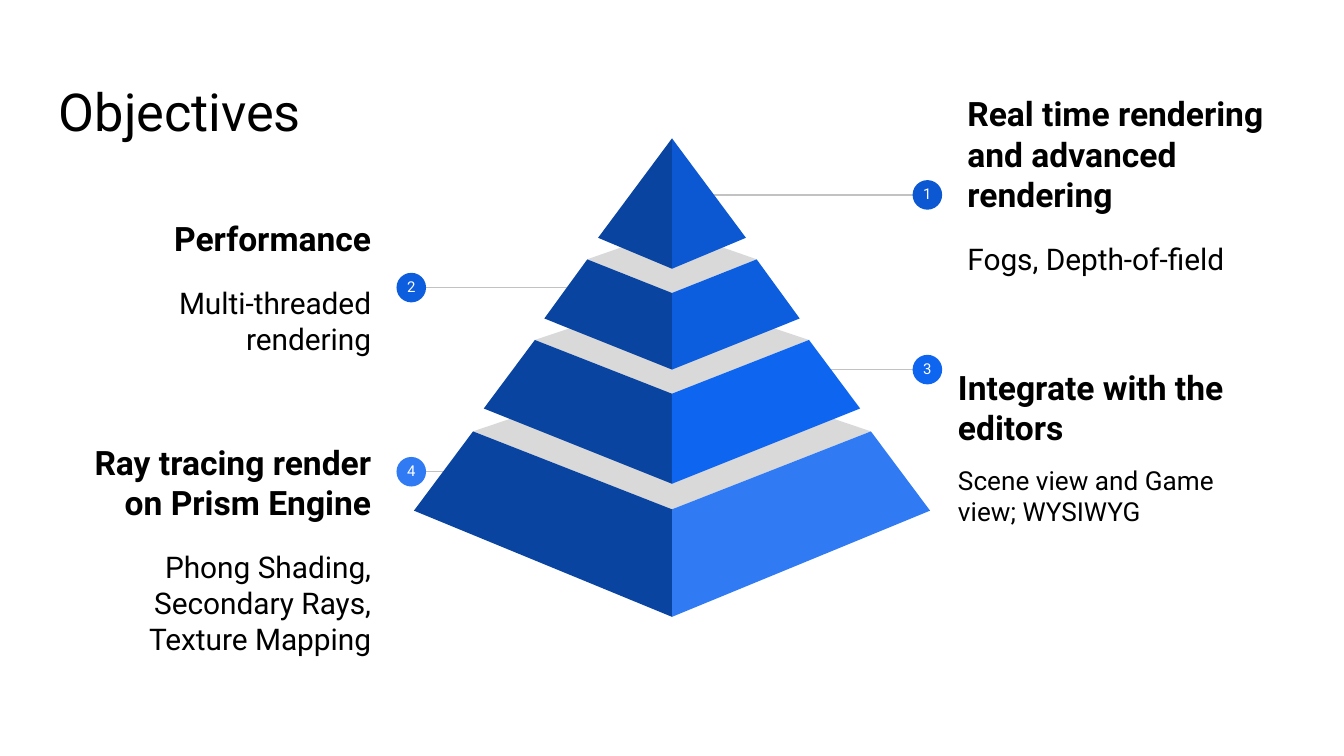
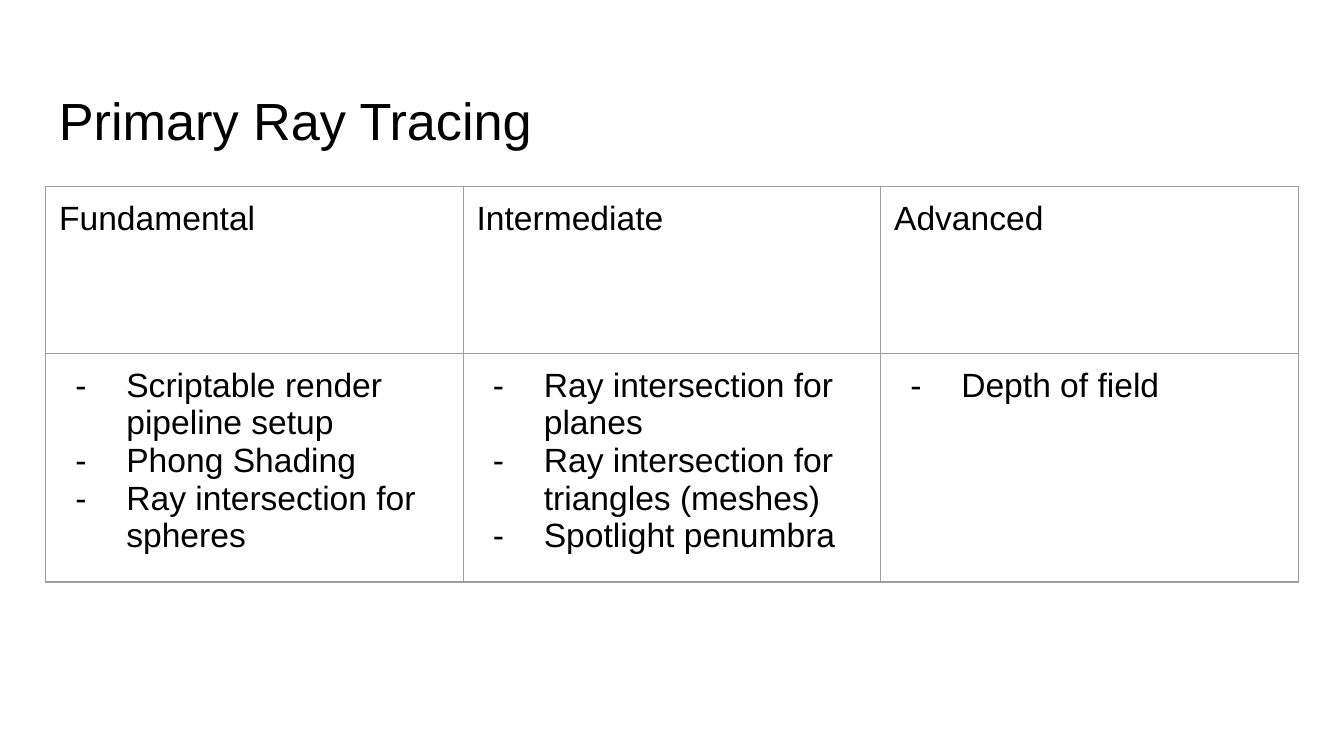
from lxml import etree
from pptx import Presentation
from pptx import util as u
from pptx.dml.color import RGBColor
from pptx.enum import shapes, text
from pptx.oxml import ns

COLORS = {
    "text": "000000",
    "number": "FFFFFF",
    "connector": "C2C2C2",
    "border": "9E9E9E",
    "ledge": "D9D9D9",
    "shade": "0944A1",
    "tier1": "0C58D3",
    "tier2": "0D5DDF",
    "tier3": "0E65F0",
    "tier4": "307BF3",
}
RGB = {name: RGBColor.from_string(value) for name, value in COLORS.items()}
MARGIN = 0.34
CONTENT_WIDTH = 9.32
LEFT, RIGHT = text.PP_ALIGN.LEFT, text.PP_ALIGN.RIGHT


def add_text(slide, box, font, lines, align=LEFT, anchor=text.MSO_ANCHOR.TOP):
    shape = slide.shapes.add_textbox(*[u.Inches(value) for value in box])
    frame = shape.text_frame
    frame.word_wrap = True
    frame.vertical_anchor = anchor
    frame.margin_left = frame.margin_right = u.Inches(0.1)
    frame.margin_top = frame.margin_bottom = u.Inches(0.1)
    for index, (words, size, bold, space_after) in enumerate(lines):
        paragraph = frame.add_paragraph() if index else frame.paragraphs[0]
        paragraph.text = words
        paragraph.alignment = align
        paragraph.space_after = u.Pt(space_after)
        paragraph.font.name = font
        paragraph.font.size = u.Pt(size)
        paragraph.font.bold = bold
        paragraph.font.color.rgb = RGB["text"]
    return shape


def add_face(slide, points, color):
    corners = [(u.Inches(x), u.Inches(y)) for x, y in points]
    builder = slide.shapes.build_freeform(*corners[0])
    builder.add_line_segments(corners[1:], close=True)
    shape = builder.convert_to_shape()
    shape.shadow.inherit = False
    shape.fill.solid()
    shape.fill.fore_color.rgb = RGB[color]
    shape.line.fill.background()


presentation = Presentation()
presentation.slide_width = u.Inches(10)
presentation.slide_height = presentation.slide_width * 9 // 16
blank = presentation.slide_layouts[6]

slides = []
for title, font, spacing in [("Objectives", "Roboto", 1), ("Primary Ray Tracing", "Arial", 1.15)]:
    slide = presentation.slides.add_slide(blank)
    shape = add_text(slide, (MARGIN, 0.49, CONTENT_WIDTH, 0.63), font, [(title, 28, False, 0)])
    shape.text_frame.paragraphs[0].line_spacing = spacing
    slides.append(slide)
objectives, tracing = slides

labels = [
    ("Real time rendering and advanced rendering", "Fogs, Depth-of-field", 16, 14,
     (7.1, 0.8, 2.56, 1.15), LEFT, (6.9, 1.45), 5.29),
    ("Performance", "Multi-threaded rendering", 16, 14,
     (MARGIN, 1.56, 2.52, 1.15), RIGHT, (3.06, 2.14), 4.22),
    ("Integrate with the editors", "Scene view and Game view; WYSIWYG", 14, 9,
     (7.03, 2.75, 2.56, 1.15), LEFT, (6.9, 2.75), 6.15),
    ("Ray tracing render on Prism Engine", "Phong Shading, Secondary Rays, Texture Mapping", 16, 14,
     (MARGIN, 3.51, 2.52, 1.15), RIGHT, (3.06, 3.51), 4.22),
]
marker_size = 0.22
for number, (heading, body, body_size, gap, box, align, marker, line_end) in enumerate(labels, 1):
    add_text(objectives, box, "Roboto", [(heading, 18, True, gap), (body, body_size, False, 0)],
             align, text.MSO_ANCHOR.MIDDLE)

    x, y = marker
    connector = objectives.shapes.add_connector(
        shapes.MSO_CONNECTOR.STRAIGHT, u.Inches(line_end), u.Inches(y), u.Inches(x), u.Inches(y))
    connector.line.color.rgb = RGB["connector"]
    connector.line.width = u.Pt(0.75)
    etree.SubElement(connector._element.spPr, ns.qn("a:effectLst"))

    circle = objectives.shapes.add_shape(
        shapes.MSO_SHAPE.OVAL, u.Inches(x - marker_size / 2), u.Inches(y - marker_size / 2),
        u.Inches(marker_size), u.Inches(marker_size))
    circle.shadow.inherit = False
    circle.fill.solid()
    circle.fill.fore_color.rgb = RGB[f"tier{number}"]
    circle.line.fill.background()
    frame = circle.text_frame
    frame.word_wrap = False
    frame.vertical_anchor = text.MSO_ANCHOR.MIDDLE
    frame.margin_left = frame.margin_right = frame.margin_top = 0
    frame.margin_bottom = u.Inches(0.02)
    paragraph = frame.paragraphs[0]
    paragraph.text = str(number)
    paragraph.alignment = text.PP_ALIGN.CENTER
    paragraph.font.name = "Roboto"
    paragraph.font.size = u.Pt(8)
    paragraph.font.color.rgb = RGB["number"]

tiers = [
    (1.03, 0, 1.03, 0.55, 1.77, 1.03, 2),
    (1.71, 0.63, 1.93, 0.95, 2.37, 2.18, 2.75),
    (2.19, 1.02, 2.53, 1.4, 3.04, 2.93, 3.6),
    (2.71, 1.48, 3.21, 1.92, 3.8, 3.79, 4.59),
]
axis = 5
for back, top_half, top, base_half, base, front_top, front_base in tiers[1:]:
    add_face(objectives, [(axis - top_half, top), (axis, front_top),
                          (axis + top_half, top), (axis, back)], "ledge")
for number, (back, top_half, top, base_half, base, front_top, front_base) in enumerate(tiers, 1):
    for side, color in [(-1, "shade"), (1, f"tier{number}")]:
        points = [(axis + side * top_half, top), (axis + side * base_half, base), (axis, front_base)]
        if top_half:
            points.append((axis, front_top))
        add_face(objectives, points, color)

columns = [
    ("Fundamental", ["Scriptable render pipeline setup", "Phong Shading",
                     "Ray intersection for spheres"]),
    ("Intermediate", ["Ray intersection for planes", "Ray intersection for triangles (meshes)",
                      "Spotlight penumbra"]),
    ("Advanced", ["Depth of field"]),
]
row_height = 1.24
table = tracing.shapes.add_table(
    2, len(columns), u.Inches(MARGIN), u.Inches(1.39),
    u.Inches(CONTENT_WIDTH), u.Inches(2 * row_height)).table
table.first_row = False
table.horz_banding = False

for column, (level, topics) in enumerate(columns):
    for row, lines in enumerate([[level], topics]):
        cell = table.cell(row, column)
        cell.margin_left = cell.margin_right = u.Inches(0.1)
        cell.margin_top = cell.margin_bottom = u.Inches(0.1)
        cell.text = "\n".join(lines)
        for paragraph in cell.text_frame.paragraphs:
            paragraph.font.name = "Arial"
            paragraph.font.size = u.Pt(18)
            paragraph.font.color.rgb = RGB["text"]
            if row:
                properties = paragraph._p.get_or_add_pPr()
                properties.set("marL", str(u.Inches(0.5)))
                properties.set("indent", str(u.Inches(-0.38)))
                bullet_font = etree.Element(ns.qn("a:buFont"), typeface="Arial")
                properties.insert(0, bullet_font)
                bullet_font.addnext(etree.Element(ns.qn("a:buChar"), char="-"))
        cell_properties = cell._tc.get_or_add_tcPr()
        for edge in ["lnL", "lnR", "lnT", "lnB"]:
            border = etree.SubElement(cell_properties, ns.qn(f"a:{edge}"), w=str(u.Pt(0.75)))
            fill = etree.SubElement(border, ns.qn("a:solidFill"))
            etree.SubElement(fill, ns.qn("a:srgbClr"), val=COLORS["border"])
        cell.fill.background()

presentation.save("out.pptx")
